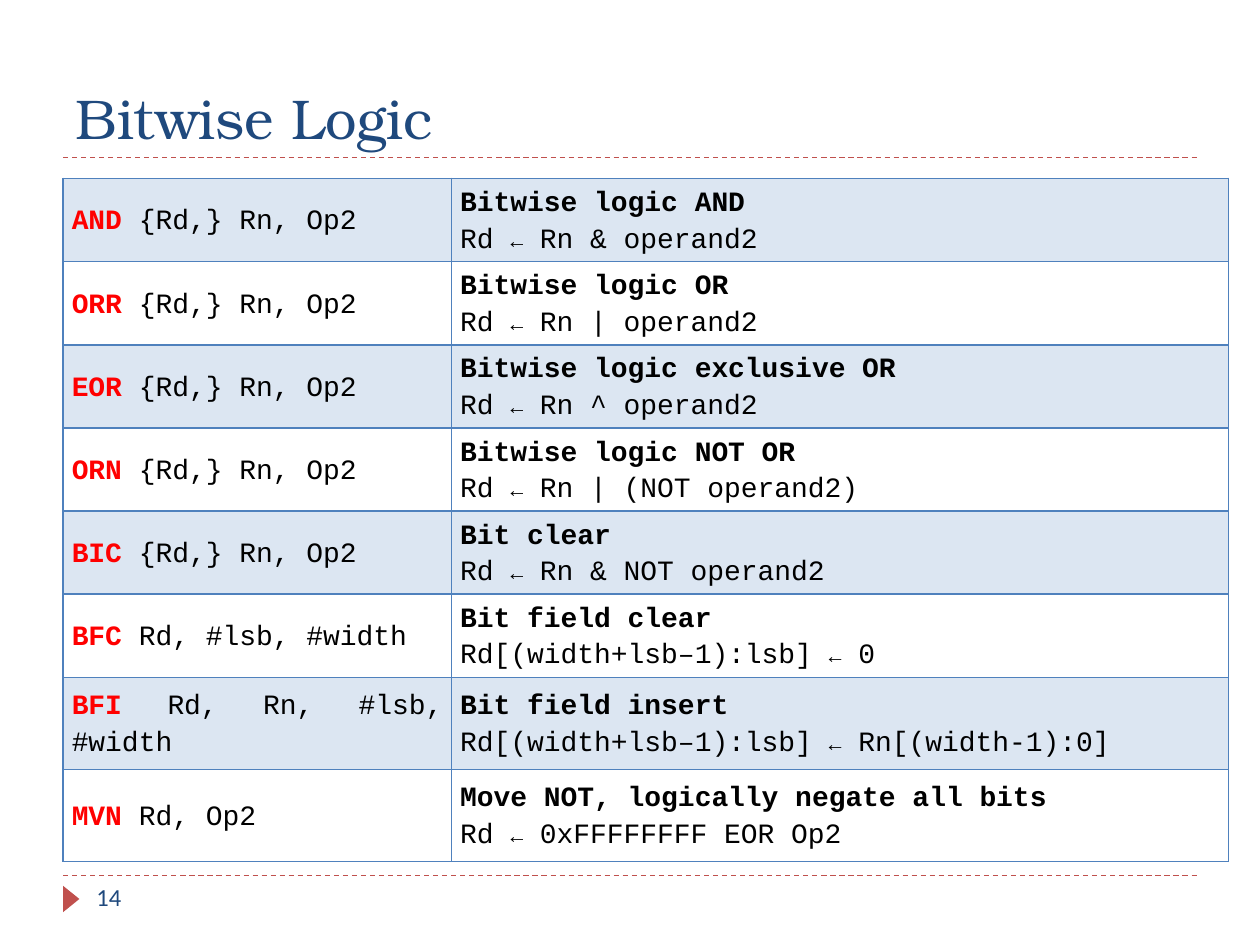
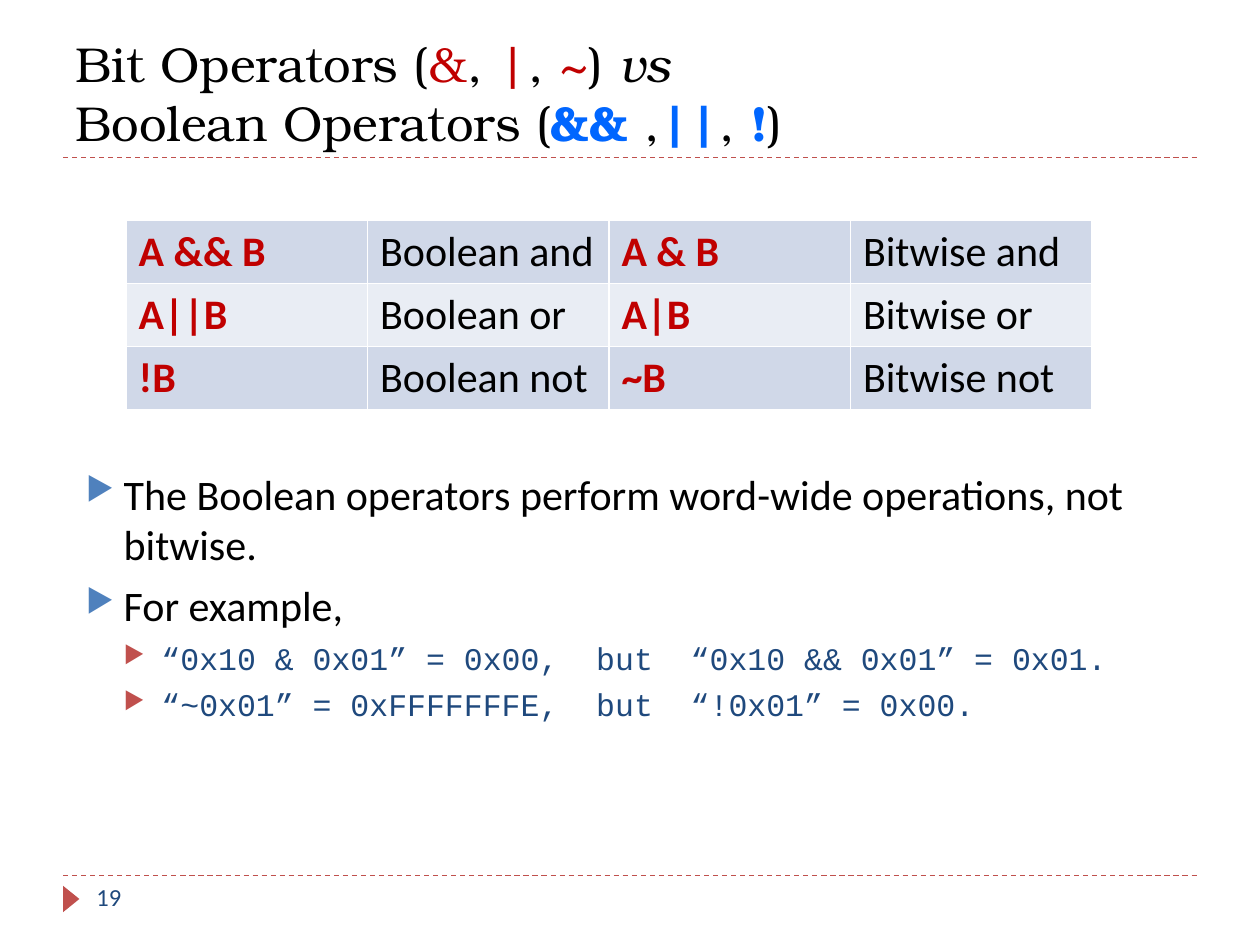
from lxml.etree import SubElement
from pptx import Presentation
from pptx.dml.color import RGBColor
from pptx.enum.dml import MSO_LINE
from pptx.enum.shapes import MSO_CONNECTOR, MSO_SHAPE
from pptx.enum.text import MSO_ANCHOR, MSO_AUTO_SIZE, PP_ALIGN
from pptx.oxml.ns import qn
from pptx.util import Inches, Pt

BLACK = RGBColor(0x00, 0x00, 0x00)
WHITE = RGBColor(0xFF, 0xFF, 0xFF)
NAVY = RGBColor(0x1F, 0x49, 0x7D)
BLUE = RGBColor(0x4F, 0x81, 0xBD)
PALE_BLUE = RGBColor(0xDC, 0xE6, 0xF2)
BRICK = RGBColor(0xC0, 0x50, 0x4D)
RED = RGBColor(0xFF, 0x00, 0x00)
DARK_RED = RGBColor(0xC0, 0x00, 0x00)
BRIGHT_BLUE = RGBColor(0x00, 0x66, 0xFF)
BAND_DARK = RGBColor(0xD0, 0xD8, 0xE8)
BAND_LIGHT = RGBColor(0xE9, 0xED, 0xF4)

TITLE_FONT, TEXT_FONT, CODE_FONT = "TeX Gyre Bonum", "Calibri", "Courier New"

# The slide is a grid of 120 columns by 90 rows of square units.
UNIT = Inches(10) // 120
LEFT, RIGHT = 6 * UNIT, 114 * UNIT
TITLE_RULE, FOOTER_RULE = 15 * UNIT, Inches(6.95)


def write_spans(paragraph, font_name, size, spans):
    """Add (text, colour, bold) spans to a paragraph and return the runs."""
    runs = []
    for text, colour, bold in spans:
        span = paragraph.add_run()
        span.text = text
        span.font.name = font_name
        span.font.size = Pt(size)
        span.font.bold = bold
        span.font.color.rgb = colour
        runs.append(span)
    return runs


def paint_cell(cell, border, fill):
    """Draw all four borders, then the fill, which must follow them in the XML."""
    properties = cell._tc.get_or_add_tcPr()
    for side in ("a:lnL", "a:lnR", "a:lnT", "a:lnB"):
        line = SubElement(properties, qn(side), w=str(Pt(1)))
        solid = SubElement(line, qn("a:solidFill"))
        SubElement(solid, qn("a:srgbClr"), val=str(border))
    if fill is None:
        cell.fill.background()
    else:
        cell.fill.solid()
        cell.fill.fore_color.rgb = fill


deck = Presentation()
deck.slide_width = 120 * UNIT
deck.slide_height = 90 * UNIT

# Shared rules, footer marker, page number and title position
pages = []
for number, title_columns in (("14", 108), ("19", 112)):
    page = deck.slides.add_slide(deck.slide_layouts[5])
    pages.append(page)

    for height in (FOOTER_RULE, TITLE_RULE):
        rule = page.shapes.add_connector(MSO_CONNECTOR.STRAIGHT, LEFT, height, RIGHT, height)
        rule.line.color.rgb = BRICK
        rule.line.width = Pt(0.75)
        rule.line.dash_style = MSO_LINE.DASH
        SubElement(rule._element.spPr, qn("a:effectLst"))

    marker = page.shapes.add_shape(MSO_SHAPE.ISOSCELES_TRIANGLE,
                                   Inches(0.46), Inches(7.07), Inches(0.21), Inches(0.13))
    marker.rotation = 90
    marker.shadow.inherit = False
    marker.fill.solid()
    marker.fill.fore_color.rgb = BRICK
    marker.line.fill.background()

    number_box = page.shapes.add_textbox(8 * UNIT, FOOTER_RULE, 26 * UNIT, Inches(0.4))
    number_box.text_frame.word_wrap = True
    write_spans(number_box.text_frame.paragraphs[0], TEXT_FONT, 14, [(number, NAVY, False)])

    title = page.shapes.title
    title.left, title.top = LEFT, 2 * UNIT
    title.width, title.height = title_columns * UNIT, 13 * UNIT
    title.text_frame.auto_size = MSO_AUTO_SIZE.NONE
    title.text_frame.vertical_anchor = MSO_ANCHOR.BOTTOM
    title.text_frame.paragraphs[0].alignment = PP_ALIGN.LEFT

logic_page, operators_page = pages

# Bitwise logic instructions
heading = logic_page.shapes.title.text_frame.paragraphs[0]
write_spans(heading, TITLE_FONT, 32, [("Bitwise Logic", NAVY, False)])

instructions = [
    ("AND", "{Rd,} Rn, Op2", "Bitwise logic AND", "Rd ← Rn & operand2"),
    ("ORR", "{Rd,} Rn, Op2", "Bitwise logic OR", "Rd ← Rn | operand2"),
    ("EOR", "{Rd,} Rn, Op2", "Bitwise logic exclusive OR", "Rd ← Rn ^ operand2"),
    ("ORN", "{Rd,} Rn, Op2", "Bitwise logic NOT OR", "Rd ← Rn | (NOT operand2)"),
    ("BIC", "{Rd,} Rn, Op2", "Bit clear", "Rd ← Rn & NOT operand2"),
    ("BFC", "Rd, #lsb, #width", "Bit field clear", "Rd[(width+lsb–1):lsb] ← 0"),
    ("BFI", "Rd, Rn, #lsb, #width", "Bit field insert",
     "Rd[(width+lsb–1):lsb] ← Rn[(width-1):0]"),
    ("MVN", "Rd, Op2", "Move NOT, logically negate all bits", "Rd ← 0xFFFFFFFF EOR Op2"),
]
logic_table = logic_page.shapes.add_table(
    len(instructions), 2, LEFT, 17 * UNIT, 111 * UNIT, 65 * UNIT).table
logic_table.first_row = logic_table.horz_banding = False
logic_table.columns[0].width = 37 * UNIT
logic_table.columns[1].width = 74 * UNIT

for index, (mnemonic, operands, meaning, effect) in enumerate(instructions):
    logic_table.rows[index].height = Inches(0.66 if index < 6 else 0.73)
    syntax_cell, meaning_cell = logic_table.rows[index].cells
    write_spans(syntax_cell.text_frame.paragraphs[0], CODE_FONT, 16,
                [(mnemonic + " ", RED, True), (operands, BLACK, False)])
    write_spans(meaning_cell.text_frame.paragraphs[0], CODE_FONT, 16, [(meaning, BLACK, True)])
    target, arrow, value = effect.partition("←")
    effect_runs = write_spans(meaning_cell.text_frame.add_paragraph(), CODE_FONT, 16,
                              [(part, BLACK, False) for part in (target, arrow, value)])
    effect_runs[1].font.size = Pt(12)

    for cell in (syntax_cell, meaning_cell):
        paint_cell(cell, BLUE, PALE_BLUE if index % 2 == 0 else None)
        cell.vertical_anchor = MSO_ANCHOR.MIDDLE
        cell.margin_left = cell.margin_right = Inches(0.07)
        cell.margin_top = cell.margin_bottom = 0
        for paragraph in cell.text_frame.paragraphs:
            paragraph.alignment = PP_ALIGN.JUSTIFY
            paragraph.line_spacing = 1.15

# Bit operators against Boolean operators
heading = operators_page.shapes.title.text_frame.paragraphs[0]
first_line = write_spans(heading, TITLE_FONT, 28, [
    ("Bit Operators (", BLACK, False), ("&", DARK_RED, False), (",", BLACK, False),
    (" |", DARK_RED, False), (", ", BLACK, False), ("~", DARK_RED, False),
    (") ", BLACK, False), ("vs ", BLACK, False)])
first_line[-1].font.italic = True
heading.add_line_break()
write_spans(heading, TITLE_FONT, 28, [
    ("Boolean Operators (", BLACK, False), ("&&", BRIGHT_BLUE, True), (" ,", BLACK, False),
    ("||", BRIGHT_BLUE, True), (", ", BLACK, False), ("!", BRIGHT_BLUE, True),
    (")", BLACK, False)])

points = [
    (0, "The Boolean operators perform word-wide operations, not bitwise."),
    (0, "For example,"),
    (1, "“0x10 & 0x01” = 0x00,  but  “0x10 && 0x01” = 0x01."),
    (1, "“~0x01” = 0xFFFFFFFE,  but  “!0x01” = 0x00."),
]
level_styles = [(TEXT_FONT, 24, BLACK, BLUE, 6), (CODE_FONT, 18, NAVY, BRICK, 5)]
points_box = operators_page.shapes.add_textbox(7 * UNIT, 44 * UNIT, 108 * UNIT, Inches(2.73))
points_frame = points_box.text_frame
points_frame.word_wrap = True
for index, (level, text) in enumerate(points):
    font_name, size, colour, bullet_colour, gap = level_styles[level]
    paragraph = points_frame.add_paragraph() if index else points_frame.paragraphs[0]
    paragraph.level = level
    properties = paragraph._p.get_or_add_pPr()
    properties.set("marL", str(Inches(0.3) * (level + 1)))
    properties.set("indent", str(-Inches(0.3)))
    bullet = SubElement(properties, qn("a:buClr"))
    SubElement(bullet, qn("a:srgbClr"), val=str(bullet_colour))
    SubElement(properties, qn("a:buSzPct"), val="76000")
    SubElement(properties, qn("a:buChar"), char="▶")
    if index:
        paragraph.space_before = Pt(gap)
    write_spans(paragraph, font_name, size, [(text, colour, False)])

operators = [
    ("A && B", "Boolean and", "A & B", "Bitwise and"),
    ("A||B", "Boolean or", "A|B", "Bitwise or"),
    ("!B", "Boolean not", "~B", "Bitwise not"),
]
operator_table = operators_page.shapes.add_table(
    len(operators), 4, 12 * UNIT, 21 * UNIT, 92 * UNIT, 18 * UNIT).table
operator_table.first_row = operator_table.horz_banding = False
for row, texts in enumerate(operators):
    for column, text in enumerate(texts):
        cell = operator_table.cell(row, column)
        is_operator = column % 2 == 0
        paint_cell(cell, WHITE, BAND_LIGHT if row % 2 else BAND_DARK)
        write_spans(cell.text_frame.paragraphs[0], TEXT_FONT, 24,
                    [(text, DARK_RED if is_operator else BLACK, is_operator)])

deck.save("out.pptx")
